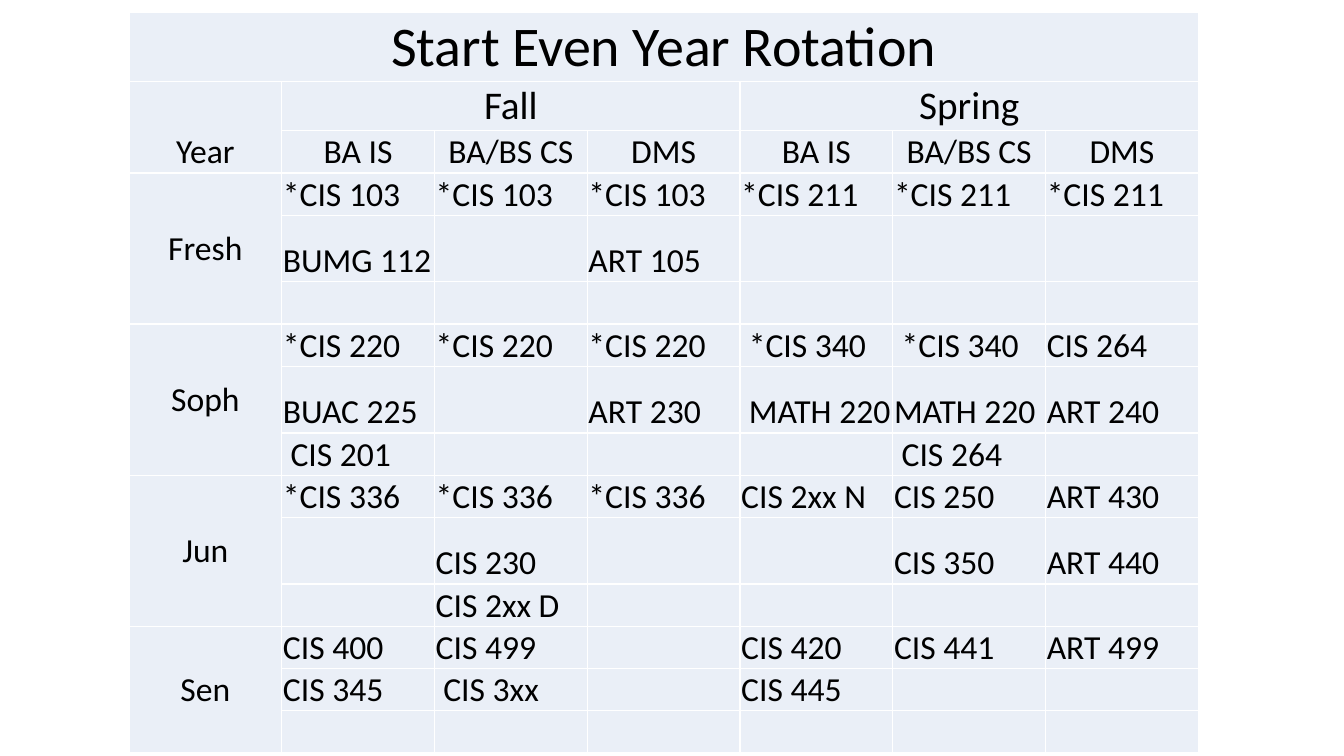
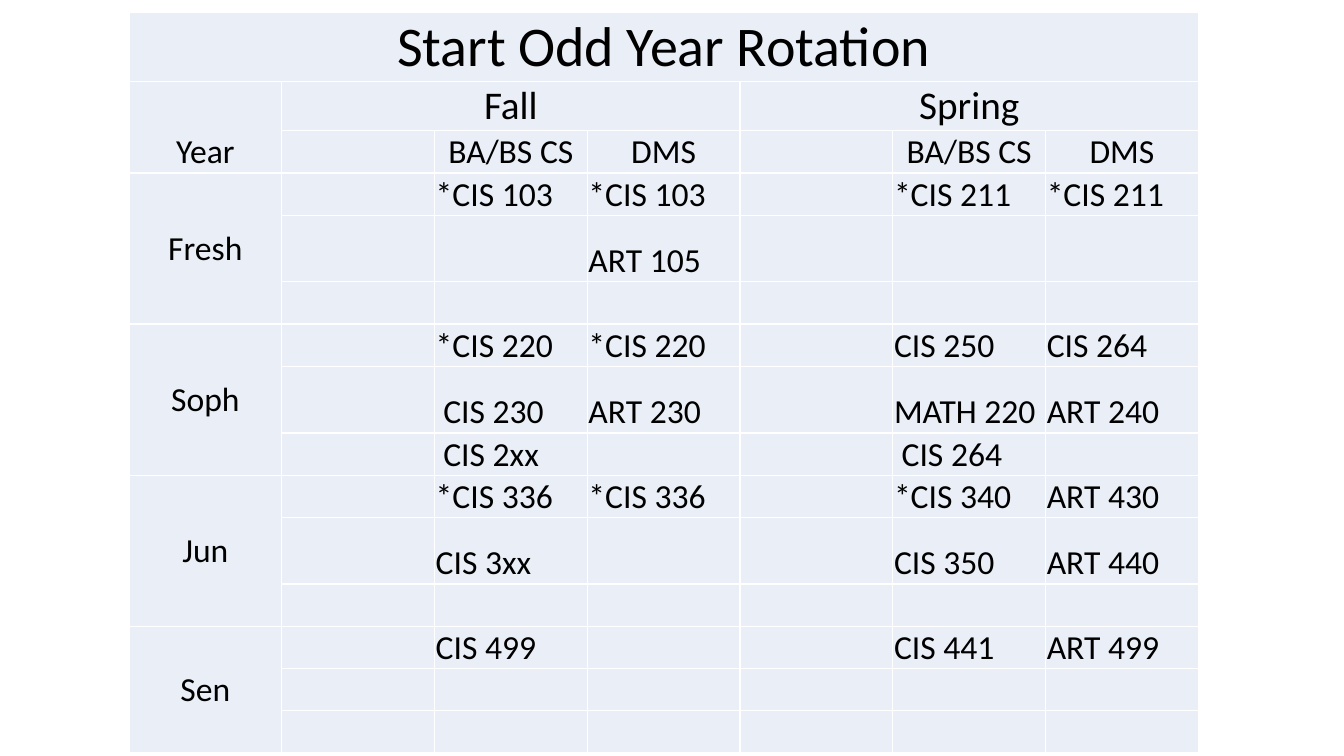
from pptx import Presentation
from pptx.dml.color import RGBColor
from pptx.enum.text import MSO_ANCHOR as Anchor, PP_ALIGN as Align
from pptx.oxml.ns import qn
from pptx.util import Cm, Pt
from lxml.etree import SubElement

COLORS = {"cell": "EAEFF7", "border": "FFFFFF", "text": "000000"}
FONT = "Calibri"

# Shared grid, in centimetres
LEFT, TOP, COLUMN_WIDTH, COLUMNS = 3.25, 0.3, 3.85, 7
HEADER_HEIGHTS = [1.74, 1.21, 1.07]
YEAR_HEIGHTS = [1.06, 1.68, 1.06]
LAST_YEAR_HEIGHTS = [1.06] * 3
ROW_HEIGHTS = HEADER_HEIGHTS + YEAR_HEIGHTS * 3 + LAST_YEAR_HEIGHTS

YEARS = ["Fresh", "Soph", "Jun", "Sen"]
TERMS = ["Fall", "Spring"]
SPAN = 3  # programs per term, and course rows per year

# Programs per term and courses: one line per table row, "|" between cells
EVEN_PROGRAMS = ["BA IS", "BA/BS CS", "DMS"]
EVEN_COURSES = [
    "*CIS 103|*CIS 103|*CIS 103|*CIS 211|*CIS 211|*CIS 211",
    "BUMG 112||ART 105|||",
    "|||||",
    "*CIS 220|*CIS 220|*CIS 220|\u00a0*CIS 340|\u00a0*CIS 340|CIS 264",
    "BUAC 225||ART 230|\u00a0MATH 220|MATH 220|ART 240",
    "\u00a0CIS 201||||\u00a0CIS 264|",
    "*CIS 336|*CIS 336|*CIS 336|CIS 2xx N|CIS 250|ART 430",
    "|CIS 230|||CIS 350|ART 440",
    "|CIS 2xx D||||",
    "CIS 400|CIS 499||CIS 420|CIS 441|ART 499",
    "CIS 345|\u00a0CIS 3xx||CIS 445||",
    "|||||",
]
ODD_PROGRAMS = ["", "BA/BS CS", "DMS"]
ODD_COURSES = [
    "|*CIS 103|*CIS 103||*CIS 211|*CIS 211",
    "||ART 105|||",
    "|||||",
    "|*CIS 220|*CIS 220||CIS 250|CIS 264",
    "|\u00a0CIS 230|ART 230||MATH 220|ART 240",
    "|\u00a0CIS 2xx|||\u00a0CIS 264|",
    "|*CIS 336|*CIS 336||*CIS 340|ART 430",
    "|CIS 3xx|||CIS 350|ART 440",
    "|||||",
    "|CIS 499|||CIS 441|ART 499",
    "|||||",
    "|||||",
]


def style_cell(cell):
    """Borders come before the fill, as the schema asks."""
    properties = cell._tc.get_or_add_tcPr()
    for side in ("lnL", "lnR", "lnT", "lnB"):
        line = SubElement(properties, qn(f"a:{side}"), w=str(Pt(1)))
        fill = SubElement(line, qn("a:solidFill"))
        SubElement(fill, qn("a:srgbClr"), val=COLORS["border"])
    cell.fill.solid()
    cell.fill.fore_color.rgb = RGBColor.from_string(COLORS["cell"])
    cell.margin_left = cell.margin_right = cell.margin_top = Cm(0.03)
    cell.margin_bottom = 0
    cell.vertical_anchor = Anchor.BOTTOM
    cell.text_frame.paragraphs[0].font.size = Pt(24)


def write_cell(cell, text, size=24, align=Align.CENTER, anchor=Anchor.BOTTOM):
    if not text:
        return
    cell.text = text
    cell.vertical_anchor = anchor
    paragraph = cell.text_frame.paragraphs[0]
    paragraph.alignment = align
    paragraph.font.size = Pt(size)
    paragraph.font.name = FONT
    paragraph.font.color.rgb = RGBColor.from_string(COLORS["text"])


def merge(table, row, column, rows=1, columns=1):
    cell = table.cell(row, column)
    cell.merge(table.cell(row + rows - 1, column + columns - 1))
    return cell


def add_grid(slide):
    frame = slide.shapes.add_table(
        len(ROW_HEIGHTS), COLUMNS, Cm(LEFT), Cm(TOP),
        Cm(COLUMN_WIDTH * COLUMNS), Cm(sum(ROW_HEIGHTS)))
    table = frame.table
    table.first_row = table.horz_banding = False
    for column in table.columns:
        column.width = Cm(COLUMN_WIDTH)
    for row, height in zip(table.rows, ROW_HEIGHTS):
        row.height = Cm(height)
    for cell in table.iter_cells():
        style_cell(cell)
    return table


def add_rotation_slide(presentation, title, programs, courses):
    slide = presentation.slides.add_slide(presentation.slide_layouts[6])
    table = add_grid(slide)

    # Header rows
    write_cell(merge(table, 0, 0, columns=COLUMNS), title, 40)
    write_cell(merge(table, 1, 0, rows=2), "Year")
    for index, term in enumerate(TERMS):
        first = 1 + index * SPAN
        write_cell(merge(table, 1, first, columns=SPAN), term, 28)
        for column, program in enumerate(programs, first):
            write_cell(table.cell(2, column), program)

    # Years and their courses
    first_row = len(HEADER_HEIGHTS)
    for index, year in enumerate(YEARS):
        cell = merge(table, first_row + index * SPAN, 0, rows=SPAN)
        write_cell(cell, year, anchor=Anchor.MIDDLE)
    for row, line in enumerate(courses, first_row):
        for column, course in enumerate(line.split("|"), 1):
            write_cell(table.cell(row, column), course, align=Align.LEFT)


def main():
    presentation = Presentation()
    presentation.slide_width, presentation.slide_height = Cm(33.87), Cm(19.05)
    add_rotation_slide(presentation, "Start Even Year Rotation",
                       EVEN_PROGRAMS, EVEN_COURSES)
    add_rotation_slide(presentation, "Start Odd Year Rotation",
                       ODD_PROGRAMS, ODD_COURSES)
    presentation.save("out.pptx")


main()
